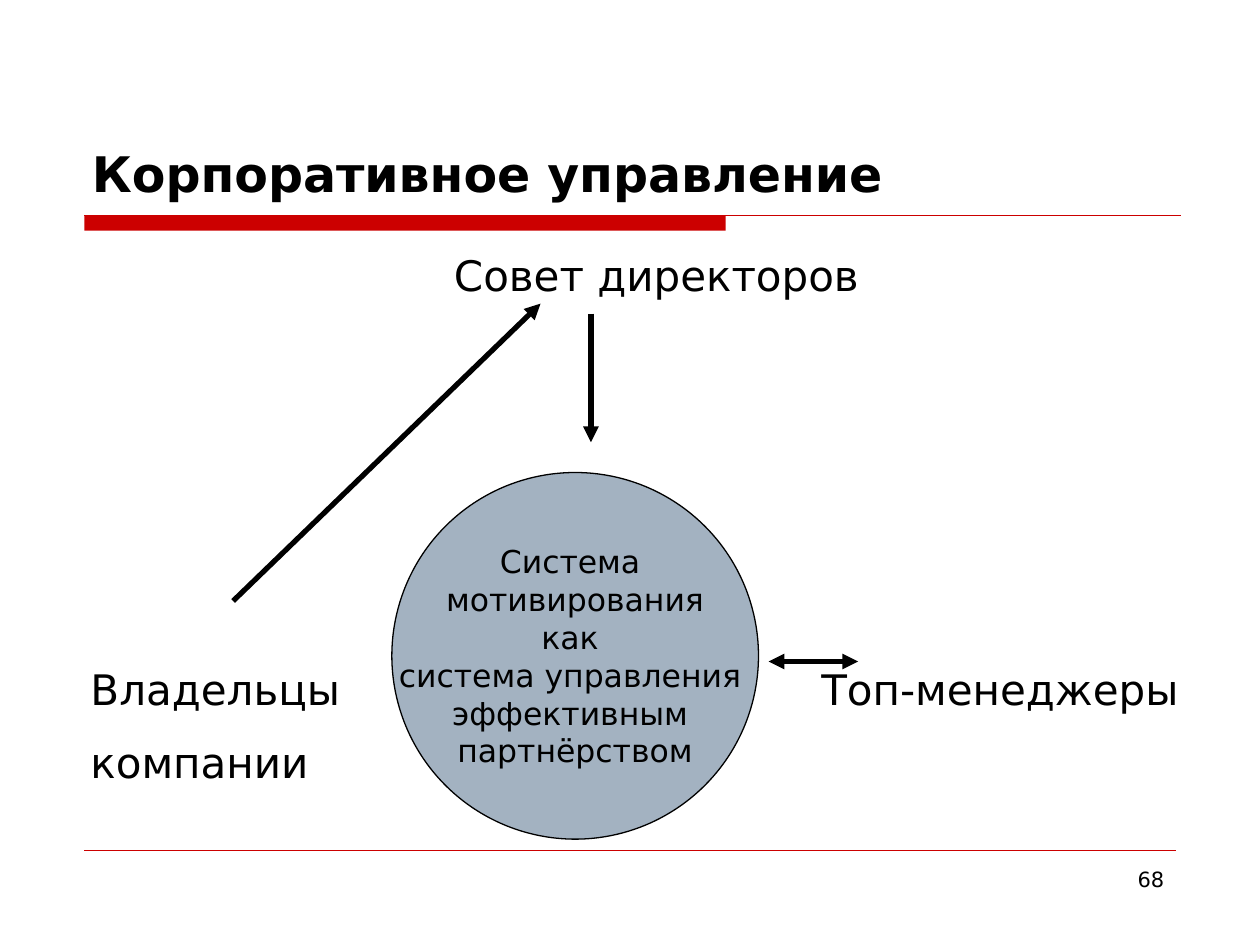
from lxml import etree
from pptx import Presentation
from pptx import util as u
from pptx.dml.color import RGBColor
from pptx.enum import shapes, text
from pptx.oxml.ns import qn

COLORS = {"ink": "000000", "accent": "CC0000", "circle": "A3B2C1"}
FONT = "DejaVu Sans"
COLUMNS, ROWS = 100, 75


def rgb(name):
    return RGBColor.from_string(COLORS[name])


def write(frame, content, size=24, bold=False, align=text.PP_ALIGN.LEFT,
          anchor=text.MSO_ANCHOR.TOP, wrap=True, gap=0):
    """Write one paragraph per line, with a gap in points between them."""
    frame.auto_size = text.MSO_AUTO_SIZE.NONE
    frame.word_wrap = wrap
    frame.vertical_anchor = anchor
    for index, line in enumerate(content.split("\n")):
        paragraph = frame.paragraphs[0] if index == 0 else frame.add_paragraph()
        paragraph.alignment = align
        paragraph.space_before = u.Pt(gap if index else 0)
        run = paragraph.add_run()
        run.text = line
        run.font.name, run.font.size, run.font.bold = FONT, u.Pt(size), bold
        run.font.color.rgb = rgb("ink")


class Board:
    """The current slide, measured in grid columns and rows."""

    def __init__(self, deck):
        self.cell_w = deck.slide_width / COLUMNS
        self.cell_h = deck.slide_height / ROWS
        self.slide = deck.slides.add_slide(deck.slide_layouts[5])

    def place(self, *cells):
        steps = (self.cell_w, self.cell_h) * 2
        return [u.Emu(round(c * step)) for c, step in zip(cells, steps)]

    def title(self, box, content, **style):
        holder = self.slide.shapes.title
        holder.left, holder.top, holder.width, holder.height = self.place(*box)
        write(holder.text_frame, content, **style)

    def label(self, box, content, **style):
        holder = self.slide.shapes.add_textbox(*self.place(*box))
        write(holder.text_frame, content, **style)

    def shape(self, kind, box, fill, outline=None):
        item = self.slide.shapes.add_shape(kind, *self.place(*box))
        item.shadow.inherit = False
        item.fill.solid()
        item.fill.fore_color.rgb = rgb(fill)
        if outline:
            item.line.color.rgb = rgb(outline)
            item.line.width = u.Pt(0.75)
        else:
            item.line.fill.background()
        return item

    def line(self, ends, color="ink", width=3, heads=()):
        link = self.slide.shapes.add_connector(
            shapes.MSO_CONNECTOR.STRAIGHT, *self.place(*ends))
        link.line.color.rgb = rgb(color)
        link.line.width = u.Pt(width)
        for end in heads:
            etree.SubElement(link.line._get_or_add_ln(), qn(f"a:{end}"), type="triangle")
        etree.SubElement(link._element.spPr, qn("a:effectLst"))


def main():
    deck = Presentation()
    deck.slide_width, deck.slide_height = u.Inches(10), u.Inches(7.5)
    board = Board(deck)
    center = text.PP_ALIGN.CENTER

    # Title rule, footer rule and page number
    board.shape(shapes.MSO_SHAPE.RECTANGLE, (6.7, 17.1, 50.9, 1.2), "accent")
    board.line((6.7, 17.1, 93.7, 17.1), "accent", 0.75)
    board.line((6.7, 67.5, 93.3, 67.5), "accent", 0.25)
    board.label((71.7, 68.3, 21.7, 5.2), "68", size=12, align=text.PP_ALIGN.RIGHT)

    # Title
    board.title((6.3, 3.3, 87.5, 13.3), "Корпоративное управление",
                size=28, bold=True, anchor=text.MSO_ANCHOR.BOTTOM)

    # Parties
    board.label((32.1, 19.3, 40, 5), "Совет директоров", align=center)
    board.label((6.2, 52.2, 24, 12), "Владельцы\nкомпании", gap=12.5)
    board.label((64.2, 52.2, 32, 5), "Топ-менеджеры", wrap=False)

    # Motivation system in the middle
    circle = board.shape(shapes.MSO_SHAPE.OVAL, (31.1, 37.5, 29.1, 29.1), "circle", "ink")
    write(circle.text_frame,
          "Система \nмотивирования\nкак \nсистема управления \nэффективным \nпартнёрством",
          size=18, align=center, anchor=text.MSO_ANCHOR.MIDDLE, wrap=False)

    # Owners to board, board to system, system to and from managers
    board.line((18.5, 47.7, 42.9, 24.1), heads=["tailEnd"])
    board.line((46.9, 24.9, 46.9, 35.1), heads=["tailEnd"])
    board.line((61, 52.5, 68.1, 52.5), heads=["headEnd", "tailEnd"])

    deck.save("out.pptx")


if __name__ == "__main__":
    main()
